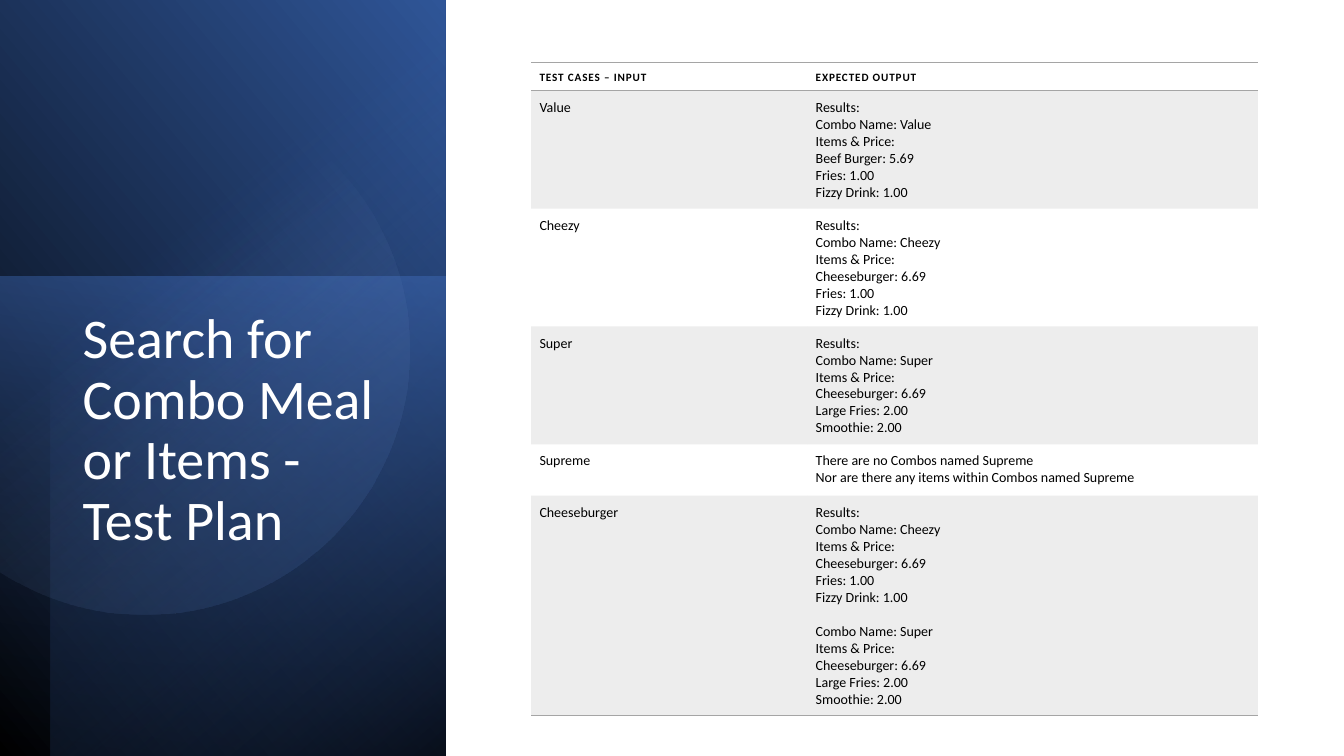
"""Build the combo meal search test plan slide."""
import math

import lxml.etree
import pptx
import pptx.dml.color
import pptx.enum.text
import pptx.oxml.ns
import pptx.util

Pt = pptx.util.Pt
RGB = pptx.dml.color.RGBColor
qn = pptx.oxml.ns.qn
ANCHOR = pptx.enum.text.MSO_ANCHOR

BLACK = RGB(0x00, 0x00, 0x00)
WHITE = RGB(0xFF, 0xFF, 0xFF)
GREY = RGB(0xA5, 0xA5, 0xA5)
BLUE = RGB(0x44, 0x72, 0xC4)
DEEP = RGB(0x2F, 0x55, 0x97)
NAVY = RGB(0x20, 0x38, 0x64)
PALE = RGB(0x8F, 0xAA, 0xDC)

FACE = "Calibri"
TITLE = {"name": FACE, "size": Pt(40), "bold": False}
HEAD = {"name": FACE, "size": Pt(8), "bold": True}
BODY = {"name": FACE, "size": Pt(10), "bold": False}
HEAD_BOX = {"margin_left": Pt(6), "margin_right": Pt(6), "margin_top": Pt(4.5),
            "margin_bottom": Pt(4.5), "vertical_anchor": ANCHOR.BOTTOM}
BODY_BOX = {**HEAD_BOX, "margin_top": Pt(6), "vertical_anchor": ANCHOR.TOP}

PANES = [
    {"box": (-111.6, 111.6, 541.5, 318.2), "turn": 90, "flip": True,
     "stops": [(0, BLACK, 100), (100, DEEP, 100)], "angle": 310},
    {"box": (-12.2, 209.5, 342.7, 318.2), "turn": 270, "flip": False,
     "stops": [(0, BLUE, 50), (100, NAVY, 0)], "angle": 190},
    {"box": (-92.9, 128.9, 540, 282.2), "turn": 270, "flip": True,
     "stops": [(0, BLACK, 59), (69, BLUE, 0)], "angle": 220},
]
DISC = {"stops": [(39, PALE, 0), (100, DEEP, 26)], "angle": 51.6}

COMBOS = {
    "Value": ["Beef Burger: 5.69", "Fries: 1.00", "Fizzy Drink: 1.00"],
    "Cheezy": ["Cheeseburger: 6.69", "Fries: 1.00", "Fizzy Drink: 1.00"],
    "Super": ["Cheeseburger: 6.69", "Large Fries: 2.00", "Smoothie: 2.00"],
}
WIDTHS = [197.3, 321.8]
HEIGHTS = [20.2, 84.2, 84.2, 84.2, 36.7, 157]


def apply(thing, style):
    """Set each attribute that the style names."""
    for key, value in style.items():
        setattr(thing, key, value)


def fade(color, percent):
    """Give a colour element its opacity."""
    if percent < 100:
        lxml.etree.SubElement(color, qn("a:alpha"), val=str(percent * 1000))


def shade(shape, stops, angle):
    """Fill a shape with a two-stop gradient and no outline."""
    shape.shadow.inherit = False
    shape.line.fill.background()
    shape.fill.gradient()
    shape.fill.gradient_angle = 360 - angle
    for stop, (place, color, _) in zip(shape.fill.gradient_stops, stops):
        stop.position = place / 100
        stop.color.rgb = color
    colors = shape._element.spPr.iter(qn("a:srgbClr"))
    for node, (_, _, percent) in zip(list(colors), stops):
        fade(node, percent)


def add_pane(slide, box, turn, flip, stops, angle):
    """Add one turned gradient rectangle."""
    pane = slide.shapes.add_shape(1, *map(Pt, box))
    pane.rotation = turn
    if flip:
        pane._element.spPr.xfrm.set("flipH", "1")
    shade(pane, stops, angle)


def add_disc(slide, x, y, radius):
    """Add a disc cut off by the left edge of the slide."""
    reach = math.degrees(math.acos(-x / radius))
    turns = [math.radians(reach * (step / 60 - 1)) for step in range(121)]
    points = [(Pt(x + radius * math.cos(turn)), Pt(y + radius * math.sin(turn)))
              for turn in turns]
    form = slide.shapes.build_freeform(*points[0])
    form.add_line_segments(points[1:], close=True)
    shade(form.convert_to_shape(), **DISC)


def add_title(slide, text):
    """Move the title placeholder to the front and format it."""
    title = slide.shapes.title
    slide.shapes._spTree.append(title._element)
    apply(title, {"left": Pt(51.8), "top": Pt(218.2),
                  "width": Pt(226.8), "height": Pt(242)})
    frame = title.text_frame
    frame.text = text
    apply(frame, {"word_wrap": True, "vertical_anchor": ANCHOR.TOP,
                  "auto_size": pptx.enum.text.MSO_AUTO_SIZE.NONE})
    para = frame.paragraphs[0]
    apply(para, {"line_spacing": 0.9, "alignment": pptx.enum.text.PP_ALIGN.LEFT})
    apply(para.runs[0].font, TITLE)
    para.runs[0].font.color.rgb = WHITE


def edge(cell, sides):
    """Draw grey lines on the named sides and clear the others."""
    props = cell._tc.get_or_add_tcPr()
    for spot, side in enumerate("LRTB"):
        line = lxml.etree.Element(qn("a:ln" + side), w=str(Pt(1)))
        props.insert(spot, line)
        if side in sides:
            fill = lxml.etree.SubElement(line, qn("a:solidFill"))
            lxml.etree.SubElement(fill, qn("a:srgbClr"), val=str(GREY))
        else:
            lxml.etree.SubElement(line, qn("a:noFill"))


def fill_cell(cell, lines, head, tint, sides):
    """Write and format one table cell."""
    cell.text = "\n".join(lines)
    apply(cell, HEAD_BOX if head else BODY_BOX)
    for spot, para in enumerate(cell.text_frame.paragraphs):
        run = para.runs[0]
        apply(run.font, HEAD if head else BODY)
        run.font.color.rgb = BLACK
        if head:
            run.font._element.set("spc", "60")
        if spot > 1 and run.text.startswith("Combo Name"):
            para.space_before = Pt(12.2)
    if tint:
        cell.fill.solid()
        cell.fill.fore_color.rgb = GREY
        fade(next(cell._tc.tcPr.iter(qn("a:srgbClr"))), 20)
    else:
        cell.fill.background()
    edge(cell, sides)


def add_plan(slide, rows):
    """Add the table of test cases."""
    frame = slide.shapes.add_table(len(rows), 2, Pt(379.4), Pt(44.6),
                                   Pt(sum(WIDTHS)), Pt(sum(HEIGHTS)))
    table = frame.table
    apply(table, {"first_row": False, "horz_banding": False})
    for col, width in zip(table.columns, WIDTHS):
        col.width = Pt(width)
    for spot, (case, lines) in enumerate(rows):
        table.rows[spot].height = Pt(HEIGHTS[spot])
        sides = {0: "TB", 1: "T", len(rows) - 1: "B"}.get(spot, "")
        for col, words in enumerate([[case], lines]):
            fill_cell(table.cell(spot, col), words, spot == 0, spot % 2, sides)


def list_meal(name):
    """List the result lines of one combo."""
    return ["Combo Name: " + name, "Items & Price:", *COMBOS[name]]


def main():
    """Build and save the slide."""
    deck = pptx.Presentation()
    apply(deck, {"slide_width": Pt(960), "slide_height": Pt(540)})
    slide = deck.slides.add_slide(deck.slide_layouts[5])
    for pane in PANES:
        add_pane(slide, **pane)
    add_disc(slide, 103, 249.8, 189.4)
    add_title(slide, "Search for Combo Meal or Items - Test Plan")
    rows = [("TEST CASES – INPUT", ["EXPECTED OUTPUT"])]
    rows += [(name, ["Results:", *list_meal(name)]) for name in COMBOS]
    rows += [
        ("Supreme", ["There are no Combos named Supreme",
                     "Nor are there any items within Combos named Supreme"]),
        ("Cheeseburger", ["Results:", *list_meal("Cheezy"), *list_meal("Super")]),
    ]
    add_plan(slide, rows)
    deck.save("out.pptx")


if __name__ == "__main__":
    main()
